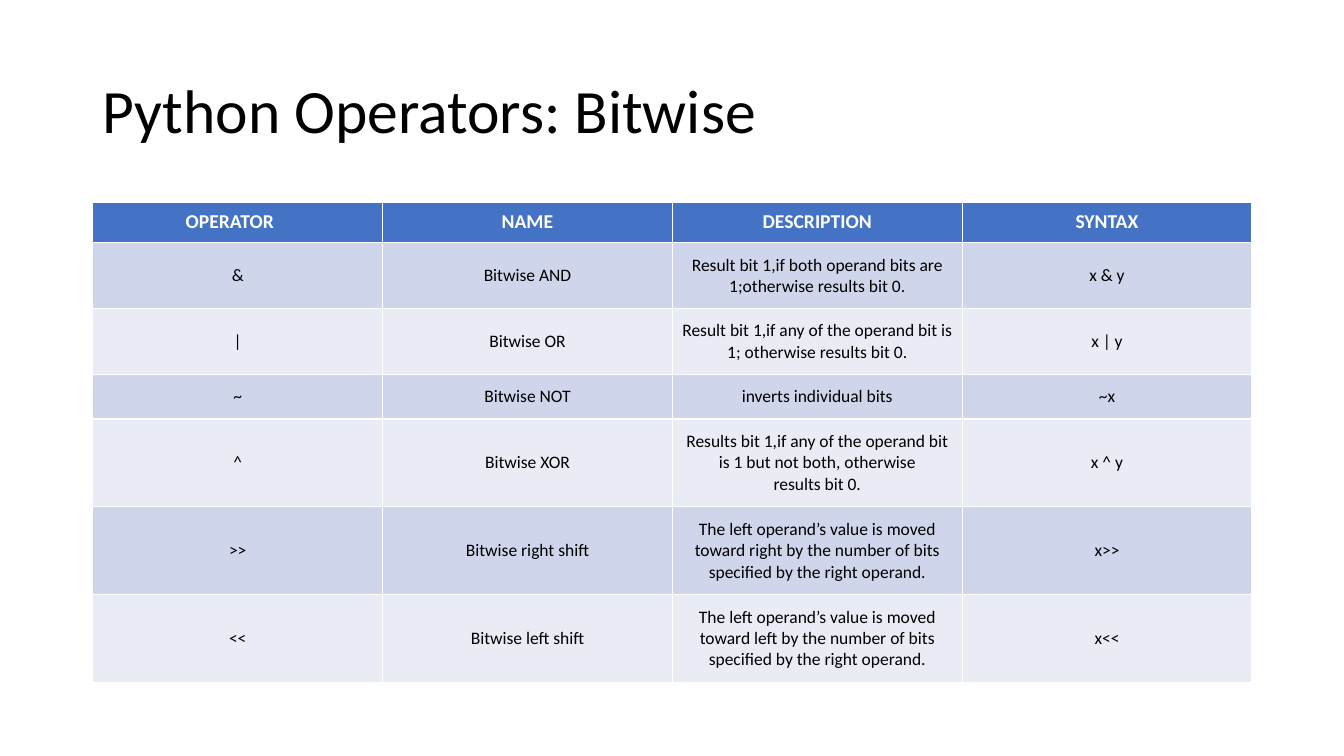
import lxml.etree
import pptx
import pptx.dml.color
import pptx.enum.text
import pptx.oxml.ns
import pptx.util

Cm = pptx.util.Cm
Pt = pptx.util.Pt
RGBColor = pptx.dml.color.RGBColor
MIDDLE = pptx.enum.text.MSO_ANCHOR.MIDDLE
CENTER = pptx.enum.text.PP_ALIGN.CENTER

BLACK = RGBColor(0x00, 0x00, 0x00)
WHITE = RGBColor(0xFF, 0xFF, 0xFF)
HEADER_BLUE = RGBColor(0x44, 0x72, 0xC4)
BAND_DARK = RGBColor(0xCF, 0xD5, 0xEA)
BAND_LIGHT = RGBColor(0xE9, 0xEB, 0xF5)

TITLE_FONT = {"name": "Calibri", "size": Pt(44), "bold": False}
HEADER_FONT = {"name": "Calibri", "size": Pt(14), "bold": True}
BODY_FONT = {"name": "Calibri", "size": Pt(12.5), "bold": False}
HEADER_CELL = {
    "vertical_anchor": MIDDLE,
    "margin_left": Cm(0.2),
    "margin_right": Cm(0.2),
    "margin_top": Cm(0.2),
    "margin_bottom": Cm(0.2),
}
BODY_CELL = {**HEADER_CELL, "margin_top": Cm(0.3), "margin_bottom": Cm(0.3)}

HEADINGS = ["OPERATOR", "NAME", "DESCRIPTION", "SYNTAX"]
OPERATORS = [
    ["&", "Bitwise AND",
     "Result bit 1,if both operand bits are 1;otherwise results bit 0.", "x & y"],
    ["|", "Bitwise OR",
     "Result bit 1,if any of the operand bit is 1; otherwise results bit 0.", "x | y"],
    ["~", "Bitwise NOT", "inverts individual bits", "~x"],
    ["^", "Bitwise XOR",
     "Results bit 1,if any of the operand bit is 1 but not both, otherwise\n"
     "results bit 0.", "x ^ y"],
    [">>", "Bitwise right shift",
     "The left operand’s value is moved toward right by the number of bits\n"
     "specified by the right operand.", "x>>"],
    ["<<", "Bitwise left shift",
     "The left operand’s value is moved toward left by the number of bits\n"
     "specified by the right operand.", "x<<"],
]
ROW_HEIGHTS = [1.02, 1.66, 1.66, 1.13, 2.21, 2.21, 2.21]


def apply(target, values):
    for attribute, value in values.items():
        setattr(target, attribute, value)


class OperatorSlide:
    def __init__(self, slide, left, width):
        self.slide = slide
        self.left = left
        self.width = width

    def style_paragraphs(self, frame, font, color, layout):
        for paragraph in frame.paragraphs:
            apply(paragraph, layout)
            apply(paragraph.font, font)
            paragraph.font.color.rgb = color

    def title(self, wording, top, height):
        frame = self.slide.shapes.add_textbox(
            Cm(self.left), Cm(top), Cm(self.width), Cm(height)).text_frame
        apply(frame, {"word_wrap": True, "vertical_anchor": MIDDLE, "text": wording})
        self.style_paragraphs(frame, TITLE_FONT, BLACK, {"line_spacing": 0.9})

    def borders(self, cell):
        properties = cell._tc.get_or_add_tcPr()
        for side in ("a:lnL", "a:lnR", "a:lnT", "a:lnB"):
            line = lxml.etree.SubElement(
                properties, pptx.oxml.ns.qn(side), w=str(Pt(1)))
            fill = lxml.etree.SubElement(line, pptx.oxml.ns.qn("a:solidFill"))
            lxml.etree.SubElement(fill, pptx.oxml.ns.qn("a:srgbClr"), val=str(WHITE))

    def cell(self, cell, wording, fill, layout, font, color):
        cell.text = wording
        apply(cell, layout)
        self.borders(cell)
        cell.fill.solid()
        cell.fill.fore_color.rgb = fill
        self.style_paragraphs(cell.text_frame, font, color, {"alignment": CENTER})

    def table(self, headings, rows, heights, top):
        table = self.slide.shapes.add_table(
            len(heights), len(headings), Cm(self.left), Cm(top),
            Cm(self.width), Cm(sum(heights))).table
        for row, height in zip(table.rows, heights):
            row.height = Cm(height)
        for column, heading in enumerate(headings):
            self.cell(table.cell(0, column), heading, HEADER_BLUE,
                      HEADER_CELL, HEADER_FONT, WHITE)
        for number, operator in enumerate(rows, start=1):
            band = BAND_DARK if number % 2 else BAND_LIGHT
            for column, wording in enumerate(operator):
                self.cell(table.cell(number, column), wording, band,
                          BODY_CELL, BODY_FONT, BLACK)
        apply(table.cell(0, 0), {"margin_left": Cm(0.1), "margin_right": Cm(0.5)})


def main():
    presentation = pptx.Presentation()
    apply(presentation, {"slide_width": Cm(33.87), "slide_height": Cm(19.05)})
    slide = presentation.slides.add_slide(presentation.slide_layouts[6])
    bitwise = OperatorSlide(slide, left=2.34, width=29.21)
    bitwise.title("Python Operators: Bitwise", top=1.02, height=3.68)
    bitwise.table(HEADINGS, OPERATORS, ROW_HEIGHTS, top=5.09)
    presentation.save("out.pptx")


if __name__ == "__main__":
    main()
